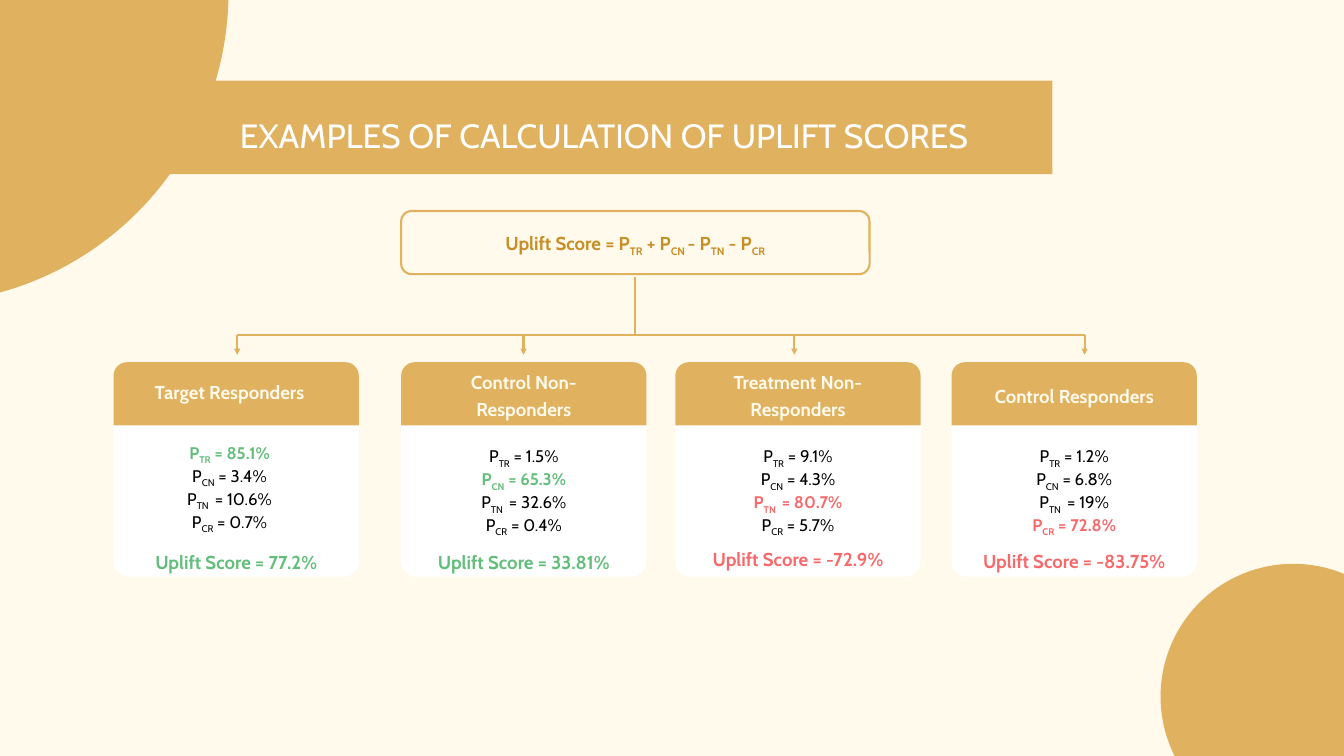
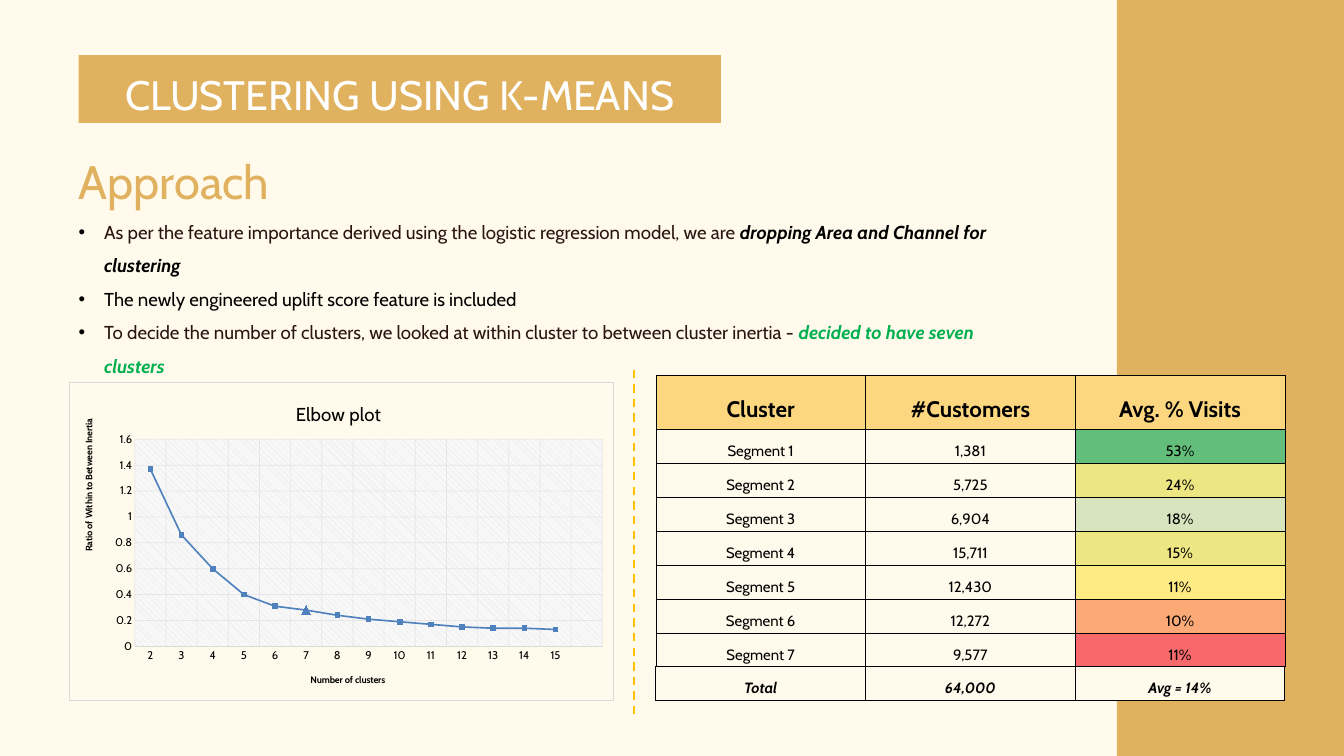
from collections import namedtuple

from lxml import etree
from pptx import Presentation
from pptx.chart.data import CategoryChartData
from pptx.dml.color import RGBColor
from pptx.enum.chart import XL_CHART_TYPE, XL_MARKER_STYLE, XL_TICK_MARK
from pptx.enum.dml import MSO_LINE
from pptx.enum.shapes import MSO_CONNECTOR, MSO_SHAPE
from pptx.enum.text import MSO_ANCHOR, PP_ALIGN
from pptx.oxml import parse_xml
from pptx.oxml.ns import nsdecls, qn
from pptx.util import Inches, Pt

COLUMNS, ROWS = 20, 11.25
FONT = "Cabin"
CREAM, GOLD, WHITE, BLACK = "FFFAEB", "E0B15E", "FFFFFF", "000000"
GREEN, RED, BLUE, GREY = "63BE7B", "F8696B", "4F81BD", "D9D9D9"
BROWN, LEAF, HEADER_YELLOW = "2B1511", "00B050", "FDD780"
CENTER, LEFT = PP_ALIGN.CENTER, PP_ALIGN.LEFT
TOP, MIDDLE = MSO_ANCHOR.TOP, MSO_ANCHOR.MIDDLE

Box = namedtuple("Box", "left top width height")
Card = namedtuple("Card", "left title values highlight color score score_top shift rise")

CARDS = [
    Card(1.69, "Target Responders", ("85.1%", "3.4%", "10.6%", "0.7%"), 0, GREEN, "77.2%", 2.75, -0.1, -0.05),
    Card(5.97, "Control Non-Responders", ("1.5%", "65.3%", "32.6%", "0.4%"), 1, GREEN, "33.81%", 2.75, 0, 0),
    Card(10.05, "Treatment Non-Responders", ("9.1%", "4.3%", "80.7%", "5.7%"), 2, RED, "-72.9%", 2.71, 0, 0),
    Card(14.16, "Control Responders", ("1.2%", "6.8%", "19%", "72.8%"), 3, RED, "-83.75%", 2.74, 0, 0),
]
SEGMENTS = [
    ("1,381", "53%", GREEN), ("5,725", "24%", "EEE683"), ("6,904", "18%", "D7E4BD"),
    ("15,711", "15%", "EEE683"), ("12,430", "11%", "FFEB84"), ("12,272", "10%", "FBAA77"),
    ("9,577", "11%", RED),
]
INERTIA = [1.37, 0.86, 0.6, 0.4, 0.31, 0.28, 0.24, 0.21, 0.19, 0.17, 0.15, 0.14, 0.14, 0.13]
CHOSEN_CLUSTERS = 7


def rgb(color):
    """Turn a hex string into a colour."""
    return RGBColor.from_string(color)


def grid(box):
    """Turn grid columns and rows into lengths."""
    return [Inches(value) for value in box]


def style_font(font, size, color=BLACK, bold=False, italic=False):
    """Set the typeface, size, colour and weight of a font."""
    font.name, font.size, font.bold, font.italic = FONT, Pt(size), bold, italic
    font.color.rgb = rgb(color)


def add_para(frame, *pieces, align=CENTER, spacing=1.0, bullet=False, **style):
    """Add a paragraph of strings or (string, style) pairs; braces mark subscripts."""
    para = frame.paragraphs[0]
    if para.runs:
        para = frame.add_paragraph()
    para.alignment, para.line_spacing = align, spacing
    if bullet:
        add_bullet(para)
    for piece in pieces:
        text, changes = (piece, {}) if isinstance(piece, str) else piece
        for index, part in enumerate(text.replace("}", "{").split("{")):
            if part:
                span = para.add_run()
                span.text = part
                style_font(span.font, **{**style, **changes})
                if index % 2:
                    span._r.get_or_add_rPr().set("baseline", "-25000")


def add_bullet(para):
    """Give a paragraph a hanging round bullet."""
    properties = para._p.get_or_add_pPr()
    properties.set("marL", str(Inches(0.38)))
    properties.set("indent", str(-Inches(0.38)))
    color = etree.SubElement(properties, qn("a:buClr"))
    etree.SubElement(color, qn("a:srgbClr"), val=BLACK)
    etree.SubElement(properties, qn("a:buFont"), typeface="Arial")
    etree.SubElement(properties, qn("a:buChar"), char="•")


def set_frame(frame, anchor=TOP, inset=0.0):
    """Set wrapping, anchor and equal insets of a text frame."""
    frame.word_wrap, frame.vertical_anchor = True, anchor
    frame.margin_left = frame.margin_right = Inches(inset)
    frame.margin_top = frame.margin_bottom = Inches(inset)
    return frame


def add_text_box(page, box, anchor=TOP):
    """Add a wrapping text box without insets and return its frame."""
    return set_frame(page.shapes.add_textbox(*grid(box)).text_frame, anchor)


def add_block(page, kind, box, fill=GOLD, line=None, corner=None):
    """Add a flat preset shape."""
    block = page.shapes.add_shape(kind, *grid(box))
    block.shadow.inherit = False
    block.fill.solid()
    block.fill.fore_color.rgb = rgb(fill)
    if line:
        block.line.color.rgb, block.line.width = rgb(line), Pt(2.25)
    else:
        block.line.fill.background()
    if corner:
        block.adjustments[0] = corner / min(box.width, box.height)
    return block


def add_line(page, start, end, color=GOLD, arrow=False, dash=None):
    """Add a straight line with an optional arrowhead or dash."""
    line = page.shapes.add_connector(MSO_CONNECTOR.STRAIGHT, *grid(start + end))
    line.line.color.rgb, line.line.width = rgb(color), Pt(2.25)
    if dash:
        line.line.dash_style = dash
    if arrow:
        etree.SubElement(line.line._get_or_add_ln(), qn("a:tailEnd"), type="triangle")
    etree.SubElement(line._element.spPr, qn("a:effectLst"))


def add_page(deck):
    """Add a blank page with the cream background."""
    page = deck.slides.add_slide(deck.slide_layouts[6])
    page.background.fill.solid()
    page.background.fill.fore_color.rgb = rgb(CREAM)
    return page


def add_title_band(page, box, title, size, spacing):
    """Draw the gold band with the page title."""
    band = add_block(page, MSO_SHAPE.RECTANGLE, box)
    frame = set_frame(band.text_frame, MIDDLE, 0.06)
    add_para(frame, title, size=size, color=WHITE, spacing=spacing)


def add_formula(page, box):
    """Draw the outlined box with the uplift formula."""
    block = add_block(page, MSO_SHAPE.ROUNDED_RECTANGLE, box, CREAM, GOLD)
    add_para(set_frame(block.text_frame, MIDDLE), "Uplift Score = P{TR} + P{CN }- P{TN} - P{CR}",
             size=20, color="C88E26", bold=True, spacing=1.15)


def add_card(page, box, card):
    """Draw one customer group with its probabilities and score."""
    left, top, width, height = box
    header = Box(left, top, width, 0.94)
    add_block(page, MSO_SHAPE.ROUNDED_RECTANGLE, box, WHITE, corner=0.22)
    add_block(page, MSO_SHAPE.ROUND_2_SAME_RECTANGLE, header, corner=0.2)
    label = Box(left + 0.38 + card.shift, top + 0.03 + card.rise, width - 0.76, 0.87)
    add_para(add_text_box(page, label, MIDDLE), card.title,
             size=20, color=CREAM, bold=True, spacing=1.2)
    values = add_text_box(page, Box(left + card.shift, top + 1.25 + card.rise, width, 1.3))
    for index, (name, value) in enumerate(zip(("TR", "CN", "TN ", "CR"), card.values)):
        chosen = index == card.highlight
        add_para(values, f"P{{{name}}} = {value}", size=18, bold=chosen,
                 color=card.color if chosen else BLACK)
    score = add_text_box(page, Box(left, top + card.score_top, width, 0.44), MIDDLE)
    add_para(score, f"Uplift Score = {card.score}", size=20, color=card.color, bold=True)


def add_branches(page, box, trunk, drops):
    """Draw the trunk, the crossbar and the arrows down to the cards."""
    bar = box.top + 0.86
    right, bottom = box.left + box.width, box.top + box.height
    add_line(page, (trunk, box.top), (trunk, bar))
    add_line(page, (box.left, bar), (right, bar))
    for drop in drops:
        add_line(page, (drop, bar), (drop, bottom), arrow=True)


def add_approach(page, box):
    """Write the heading and the bullets of the approach."""
    frame = add_text_box(page, box)
    add_para(frame, "Approach", size=50.3, color=GOLD, align=LEFT, spacing=1.2)
    strong = {"bold": True, "italic": True}
    bullets = [
        [("As per the feature importance derived using the logistic regression model, we are ",
          {"color": BROWN}), ("dropping Area and Channel for clustering", strong)],
        ["The newly engineered uplift score feature is included"],
        [("To decide the number of clusters, we looked at within cluster to between cluster inertia - ",
          {"color": BROWN}), ("decided to have seven clusters", {"color": LEAF, **strong})],
    ]
    for pieces in bullets:
        add_para(frame, *pieces, size=20, align=LEFT, spacing=1.5, bullet=True)


def place(element, **shares):
    """Fix the place of a chart part as shares of the chart."""
    old = element.find(qn("c:layout"))
    if old is not None:
        element.remove(old)
    layout = etree.Element(qn("c:layout"))
    manual = etree.SubElement(layout, qn("c:manualLayout"))
    if "w" in shares:
        etree.SubElement(manual, qn("c:layoutTarget"), val="inner")
    for name in ("x", "y"):
        etree.SubElement(manual, qn(f"c:{name}Mode"), val="edge")
    for name, share in shares.items():
        etree.SubElement(manual, qn(f"c:{name}"), val=str(share))
    element.insert(0 if element.find(qn("c:tx")) is None else 1, layout)


def add_chart_title(title, text, x, y, size, bold):
    """Write and place the title of a chart or an axis."""
    add_para(title.text_frame, text, size=size, bold=bold)
    place(title._element, x=x, y=y)


def style_axis(axis):
    """Set the labels, ticks and pale gridlines of an axis."""
    style_font(axis.tick_labels.font, 12)
    axis.major_tick_mark = axis.minor_tick_mark = XL_TICK_MARK.NONE
    axis.has_major_gridlines = True
    lines = axis.major_gridlines.format.line
    for line in (axis.format.line, lines):
        line.color.rgb, line.width = rgb(GREY), Pt(0.75)
    for color in lines._get_or_add_ln().iter(qn("a:srgbClr")):
        etree.SubElement(color, qn("a:alpha"), val="54000")


def style_chart_areas(chart):
    """Fill the chart and plot areas and set the thin border."""
    space = chart._chartSpace
    if space.find(qn("c:roundedCorners")) is None:
        corners = etree.Element(qn("c:roundedCorners"), val="0")
        space.insert(1, corners)
    namespaces = nsdecls("c", "a")
    space.chart.addnext(parse_xml(
        f'<c:spPr {namespaces}><a:solidFill><a:srgbClr val="{CREAM}"/></a:solidFill>'
        f'<a:ln w="9525"><a:solidFill><a:srgbClr val="{GREY}"/></a:solidFill></a:ln></c:spPr>'))
    plot_area = space.chart.plotArea
    plot_area.append(parse_xml(
        f'<c:spPr {namespaces}><a:pattFill prst="ltDnDiag"><a:fgClr><a:srgbClr val="{GREY}"/></a:fgClr>'
        f'<a:bgClr><a:srgbClr val="{WHITE}"/></a:bgClr></a:pattFill></c:spPr>'))
    place(plot_area, x=0.12, y=0.18, w=0.86, h=0.65)


def style_marker(item, kind, size):
    """Set the line and marker of a series or a point."""
    item.format.line.color.rgb, item.format.line.width = rgb(BLUE), Pt(1.75)
    item.marker.style, item.marker.size = kind, size
    item.marker.format.fill.solid()
    item.marker.format.fill.fore_color.rgb = rgb(BLUE)
    item.marker.format.line.color.rgb = rgb(BLUE)


def add_elbow_chart(page, box):
    """Draw the elbow plot of inertia against the number of clusters."""
    data = CategoryChartData()
    data.categories = [str(count + 2) for count in range(len(INERTIA))] + [""]
    data.add_series("Series 1", INERTIA + [None])
    chart = page.shapes.add_chart(XL_CHART_TYPE.LINE_MARKERS, *grid(box), data).chart
    chart.has_legend = False
    style_font(chart.font, 10)
    counts, ratios = chart.category_axis, chart.value_axis
    style_axis(counts)
    style_axis(ratios)
    ratios.format.line.fill.background()
    ratios.minimum_scale, ratios.maximum_scale, ratios.major_unit = 0, 1.6, 0.2
    add_chart_title(chart.chart_title, "Elbow plot", 0.41, 0.05, 20, False)
    add_chart_title(counts.axis_title, "Number of clusters", 0.44, 0.91, 10, True)
    add_chart_title(ratios.axis_title, "Ratio of Within to Between Inertia", 0.02, 0.11, 10, True)
    ratios.axis_title.text_frame._txBody.bodyPr.set("rot", "-5400000")
    chart.plots[0].vary_by_categories = False
    series = chart.plots[0].series[0]
    series.smooth = False
    style_marker(series, XL_MARKER_STYLE.SQUARE, 5)
    style_marker(series.points[CHOSEN_CLUSTERS - 2], XL_MARKER_STYLE.TRIANGLE, 10)
    style_chart_areas(chart)


def style_cell(cell, text, fill, widths, **style):
    """Set the borders, fill and text of a table cell."""
    properties = cell._tc.get_or_add_tcPr()
    for side, width in zip("LRTB", widths):
        line = etree.SubElement(properties, qn(f"a:ln{side}"), w=str(Pt(width)))
        solid = etree.SubElement(line, qn("a:solidFill"))
        etree.SubElement(solid, qn("a:srgbClr"), val=BLACK)
    if fill:
        cell.fill.solid()
        cell.fill.fore_color.rgb = rgb(fill)
    else:
        cell.fill.background()
    cell.vertical_anchor = MIDDLE
    cell.margin_left = cell.margin_right = cell.margin_top = Inches(0.01)
    cell.margin_bottom = 0
    add_para(cell.text_frame, text, spacing=1.5, **style)


def add_segment_table(page, box):
    """Draw the table of segments with coloured visit shares."""
    rows = [("Cluster", "#Customers", "Avg. % Visits")]
    rows += [(f"Segment {number}", *segment[:2]) for number, segment in enumerate(SEGMENTS, 1)]
    rows += [("Total", "64,000", "Avg = 14%")]
    last = len(rows) - 1
    table = page.shapes.add_table(len(rows), 3, *grid(box)).table
    table.first_row = table.horz_banding = False
    for column in table.columns:
        column.width = Inches(box.width / 3)
    for index, texts in enumerate(rows):
        head, total = index == 0, index == last
        table.rows[index].height = Inches(0.8 if head else (box.height - 0.8) / last)
        visits = CREAM if head or total else SEGMENTS[index - 1][2]
        fills = [HEADER_YELLOW] * 3 if head else [None, CREAM, visits]
        for column, text in enumerate(texts):
            thick = (total and column == 0, total and column == 2, total, index >= last - 1)
            style_cell(table.cell(index, column), text, fills[column],
                       [1.5 if side else 0.5 for side in thick],
                       size=24 if head else 16, bold=head or total, italic=total)


def build_uplift_page(deck):
    """Build the page of uplift score examples."""
    page = add_page(deck)
    add_formula(page, Box(5.97, 3.14, 6.97, 0.94))
    for card in CARDS:
        add_card(page, Box(card.left, 5.39, 3.65, 3.19), card)
    add_block(page, MSO_SHAPE.OVAL, Box(-5.87, -4.75, 9.27, 9.27))
    add_title_band(page, Box(2.32, 1.2, 13.34, 1.39), "EXAMPLES OF CALCULATION OF UPLIFT SCORES", 36, 1.4)
    add_block(page, MSO_SHAPE.OVAL, Box(17.27, 8.39, 3.95, 3.95))
    add_branches(page, Box(3.53, 4.12, 12.61, 1.16), 9.45, (3.53, 7.79, 11.82, 16.14))


def build_clustering_page(deck):
    """Build the page of the clustering approach."""
    page = add_page(deck)
    add_block(page, MSO_SHAPE.RECTANGLE, Box(16.62, 0, COLUMNS - 16.62, ROWS))
    add_title_band(page, Box(1.17, 0.82, 9.56, 1.01), "CLUSTERING USING K-MEANS", 44, 1.2)
    add_approach(page, Box(1.17, 2.11, 13.81, 3.54))
    add_line(page, (9.44, 5.5), (9.44, 10.63), "FFC000", dash=MSO_LINE.DASH)
    add_elbow_chart(page, Box(1.03, 5.68, 8.1, 4.75))
    add_segment_table(page, Box(9.76, 5.59, 9.36, 4.84))


def main():
    """Build and save the deck."""
    deck = Presentation()
    deck.slide_width, deck.slide_height = Inches(COLUMNS), Inches(ROWS)
    build_uplift_page(deck)
    build_clustering_page(deck)
    deck.save("out.pptx")


if __name__ == "__main__":
    main()
